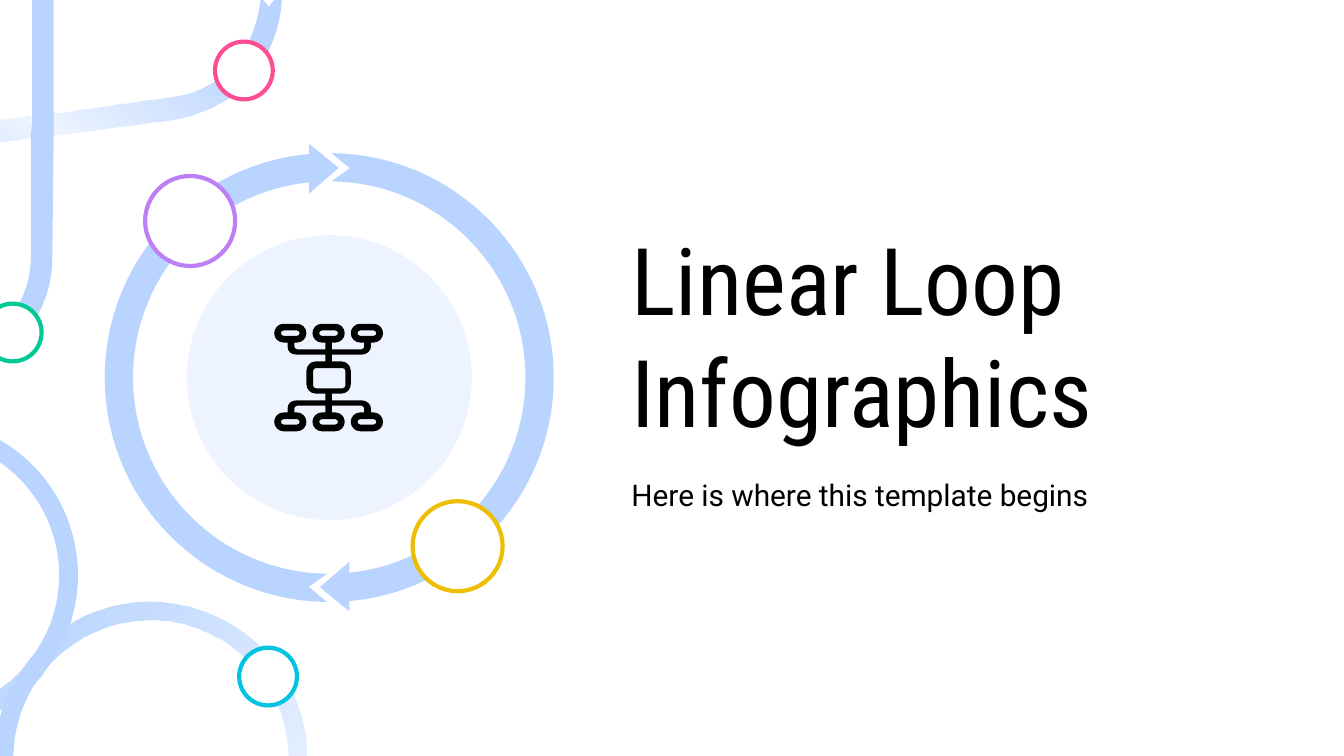
from dataclasses import dataclass
from math import ceil, cos, radians, sin, tan

from lxml.etree import SubElement
from pptx import Presentation
from pptx.dml.color import RGBColor as RGB
from pptx.enum.shapes import MSO_SHAPE as SHAPE
from pptx.enum.text import MSO_ANCHOR as ANCHOR
from pptx.oxml.ns import qn
from pptx.util import Cm, Pt


@dataclass(frozen=True)
class Theme:
    band: RGB = RGB.from_string("B8D4FF")
    white: RGB = RGB.from_string("FFFFFF")
    black: RGB = RGB.from_string("000000")
    purple: RGB = RGB.from_string("BC80F4")
    yellow: RGB = RGB.from_string("EEBE03")
    green: RGB = RGB.from_string("00C993")
    pink: RGB = RGB.from_string("FD4E93")
    cyan: RGB = RGB.from_string("02C3E2")
    faint: int = 24
    outline: float = 2.25
    title_font: str = "Roboto Condensed"
    title_size: int = 50
    body_font: str = "Roboto"
    body_size: int = 16


THEME = Theme()


def inch(n):
    return Cm(n * 2.54)


# ---- Geometry, in inches; angles run clockwise from the right ----
# A contour is a list of steps: (x, y) for a corner, six numbers for a curve.

def polar(center, radius, angle):
    a = radians(angle)
    return center[0] + radius * cos(a), center[1] + radius * sin(a)


def arc(center, radius, start, sweep):
    count = ceil(abs(sweep) / 90)
    part = sweep / count
    pull = 4 / 3 * tan(radians(part / 4))
    steps = [polar(center, radius, start)]
    for i in range(count):
        a, b = start + part * i, start + part * (i + 1)
        (x0, y0), (x3, y3) = polar(center, radius, a), polar(center, radius, b)
        (dx0, dy0), (dx3, dy3) = (polar((0, 0), radius * pull, t + 90)
                                  for t in (a, b))
        steps.append((x0 + dx0, y0 + dy0, x3 - dx3, y3 - dy3, x3, y3))
    return steps


def pairs(step):
    return list(zip(step[::2], step[1::2]))


def flip(contour, x=None, y=None):
    """Mirror in the upright line at x, the level line at y, or both."""
    def mirror(px, py):
        return (px if x is None else 2 * x - px,
                py if y is None else 2 * y - py)
    return [sum((mirror(*p) for p in pairs(step)), ()) for step in contour]


def half_loop(center, outer, inner, start, sweep, arrow=False):
    """Half a ring, ending in an arrowhead or in a notch."""
    end, way, mid = start + sweep, (1 if sweep > 0 else -1), (outer + inner) / 2
    tip = ([(outer + 0.05, 0), (mid, 7), (inner - 0.05, 0)] if arrow
           else [(mid, -5)])
    return (arc(center, outer, start, sweep)
            + [polar(center, r, end + way * a) for r, a in tip]
            + arc(center, inner, end, -sweep))


def round_box(x, y, w, h, r):
    corners = [(x + w - r, y + h - r), (x + r, y + h - r),
               (x + r, y + r), (x + w - r, y + r)]
    return [s for i, c in enumerate(corners) for s in arc(c, r, 90 * i, 90)]


# ---- Elements ----

def make_faint(sp):
    """Let the last fill colour show through."""
    color = sp._element.spPr.findall(".//" + qn("a:srgbClr"))[-1]
    SubElement(color, qn("a:alpha"), val=str(THEME.faint * 1000))


def bend(sp, contours):
    """Join the three lines drawn for each curve into one Bezier segment."""
    outline = sp._element.spPr.find(".//" + qn("a:path"))
    nodes = iter(list(outline))
    for contour in contours:
        for step in contour:
            first = next(nodes)
            if len(step) == 6:
                first.tag = qn("a:cubicBezTo")
                for node in (next(nodes), next(nodes)):
                    first.append(node[0])
                    outline.remove(node)
        next(nodes)  # the closing mark


def add_outline(slide, contours, color=THEME.band, fade=None):
    """Draw a filled form; fade is the direction in which it pales."""
    emu = [[(inch(x), inch(y)) for step in c for x, y in pairs(step)]
           for c in contours]
    builder = slide.shapes.build_freeform(*emu[0][0], scale=1.0)
    for i, points in enumerate(emu):
        if i:
            builder.move_to(*points[0])
        builder.add_line_segments(points[1:], close=True)
    sp = builder.convert_to_shape()
    bend(sp, contours)
    sp.shadow.inherit = False
    if fade is None:
        sp.fill.solid()
        sp.fill.fore_color.rgb = color
    else:
        sp.fill.gradient()
        sp.fill.gradient_angle = 360 - fade
        for stop, position in zip(sp.fill.gradient_stops, (0, 1)):
            stop.color.rgb = color
            stop.position = position
        make_faint(sp)
    sp.line.fill.background()


def add_circle(slide, center, size, fill, line=None):
    x, y = (inch(c - size / 2) for c in center)
    sp = slide.shapes.add_shape(SHAPE.OVAL, x, y, inch(size), inch(size))
    sp.shadow.inherit = False
    sp.fill.solid()
    sp.fill.fore_color.rgb = fill
    if line is None:
        sp.line.fill.background()
    else:
        sp.line.color.rgb = line
        sp.line.width = Pt(THEME.outline)
    return sp


def add_text(slide, text, top, height, font, size, anchor):
    sp = slide.shapes.add_textbox(inch(4.6), inch(top), inch(4.62), inch(height))
    tf = sp.text_frame
    tf.word_wrap = True
    tf.vertical_anchor = anchor
    tf.margin_left = tf.margin_right = inch(0.1)
    tf.margin_top = tf.margin_bottom = inch(0.1)
    p = tf.paragraphs[0]
    p.text = text
    p.font.name, p.font.size = font, Pt(size)
    p.font.color.rgb = THEME.black


def add_main_ring(slide, center):
    head = [(2.3, 1.07), (2.3, 1.44), (2.52, 1.25)]
    half = half_loop(center, 1.67, 1.46, 266.6, -176)
    for contour in (head, half):
        add_outline(slide, [contour])
        add_outline(slide, [flip(contour, *center)])
    add_circle(slide, (1.415, 1.645), 0.67, THEME.white, THEME.purple)
    add_circle(slide, (3.405, 4.065), 0.67, THEME.white, THEME.yellow)


def add_icon(slide, center):
    """Flow diagram: three pills above and below a box, joined by stems."""
    contours = [round_box(2.28, 2.69, 0.33, 0.24, 0.07),
                round_box(2.33, 2.74, 0.24, 0.15, 0.02)]
    for x in (2.04, 2.325, 2.61):
        for y in (2.41, 3.07):
            contours += [round_box(x, y, 0.24, 0.14, 0.07),
                         round_box(x + 0.05, y + 0.05, 0.14, 0.04, 0.02)]
    stems = [
        (2.14, 2.55), (2.14, 2.58), (2.14, 2.62, 2.17, 2.64, 2.21, 2.64),
        (2.42, 2.64), (2.42, 2.69), (2.47, 2.69), (2.47, 2.64),
        (2.69, 2.64), (2.73, 2.64, 2.76, 2.61, 2.76, 2.58), (2.76, 2.55),
        (2.71, 2.55), (2.71, 2.58), (2.71, 2.59, 2.7, 2.6, 2.69, 2.6),
        (2.47, 2.6), (2.47, 2.55), (2.42, 2.55), (2.42, 2.6),
        (2.21, 2.6), (2.2, 2.6, 2.19, 2.59, 2.19, 2.58), (2.19, 2.55)]
    contours += [stems, flip(stems, y=center[1])]
    add_outline(slide, contours, THEME.black)


def add_crossing_loop(slide):
    crossing = (0.315, 0.935)
    fading = [
        (0.4, 0.84), (0.4, 1.01), (1.29, 0.89),
        (1.48, 0.86, 1.65, 0.78, 1.79, 0.66),
        (1.84, 0.61, 1.89, 0.56, 1.92, 0.51), (1.8, 0.4),
        (1.78, 0.43, 1.76, 0.45, 1.74, 0.47),
        (1.62, 0.61, 1.46, 0.7, 1.27, 0.72)]
    notched = [
        (1.94, -0.02), (1.93, 0.12, 1.88, 0.28, 1.8, 0.4), (1.92, 0.51),
        (2.04, 0.34, 2.1, 0.14, 2.1, -0.07), (2, 0.05)]
    column = [
        (0.47, -0.65), (0.33, -0.48, 0.24, -0.27, 0.24, -0.04),
        (0.24, 0.86), (0.23, 1.03), (0.23, 1.91),
        (0.23, 2.1, 0.16, 2.27, 0.04, 2.41),
        (-0.09, 2.55, -0.27, 2.65, -0.46, 2.67), (-0.36, 2.76), (-0.44, 2.83),
        (-0.21, 2.8, 0.01, 2.69, 0.16, 2.51),
        (0.31, 2.35, 0.39, 2.14, 0.39, 1.91), (0.4, 1.01), (0.4, -0.04),
        (0.4, -0.23, 0.47, -0.4, 0.59, -0.54),
        (0.71, -0.67, 0.86, -0.76, 1.03, -0.79), (1.03, -0.74),
        (1.2, -0.88), (1.04, -1.04), (1.04, -0.95),
        (0.82, -0.92, 0.62, -0.82, 0.47, -0.65)]
    add_outline(slide, [fading], fade=131.4)
    add_outline(slide, [flip(fading, *crossing)], fade=311.4)
    add_outline(slide, [notched])
    add_outline(slide, [column])
    add_circle(slide, (0.095, 2.475), 0.43, THEME.white, THEME.green)
    add_circle(slide, (1.815, 0.525), 0.43, THEME.white, THEME.pink)


def add_twin_loops(slide):
    left, right = (-0.58, 4.28), (1.12, 5.64)
    for center, start, sweep, arrow, fade in (
            (right, 218.7, 178, True, 38.8), (left, 38.7, -178, True, None),
            (right, 218.7, -177, False, None), (left, 38.7, 177, False, 218.8)):
        half = half_loop(center, 1.16, 1.02, start, sweep, arrow)
        add_outline(slide, [half], fade=fade)
    add_circle(slide, (1.995, 5.035), 0.43, THEME.white, THEME.cyan)


def main():
    prs = Presentation()
    prs.slide_width, prs.slide_height = Cm(25.4), Cm(14.29)
    slide = prs.slides.add_slide(prs.slide_layouts[6])
    center = (2.45, 2.81)
    make_faint(add_circle(slide, center, 2.12, THEME.band))
    add_text(slide, "Linear Loop Infographics", 1.65, 1.68,
             THEME.title_font, THEME.title_size, ANCHOR.MIDDLE)
    add_text(slide, "Here is where this template begins", 3.45, 0.45,
             THEME.body_font, THEME.body_size, ANCHOR.TOP)
    add_main_ring(slide, center)
    add_icon(slide, center)
    add_crossing_loop(slide)
    add_twin_loops(slide)
    prs.save("out.pptx")


if __name__ == "__main__":
    main()
